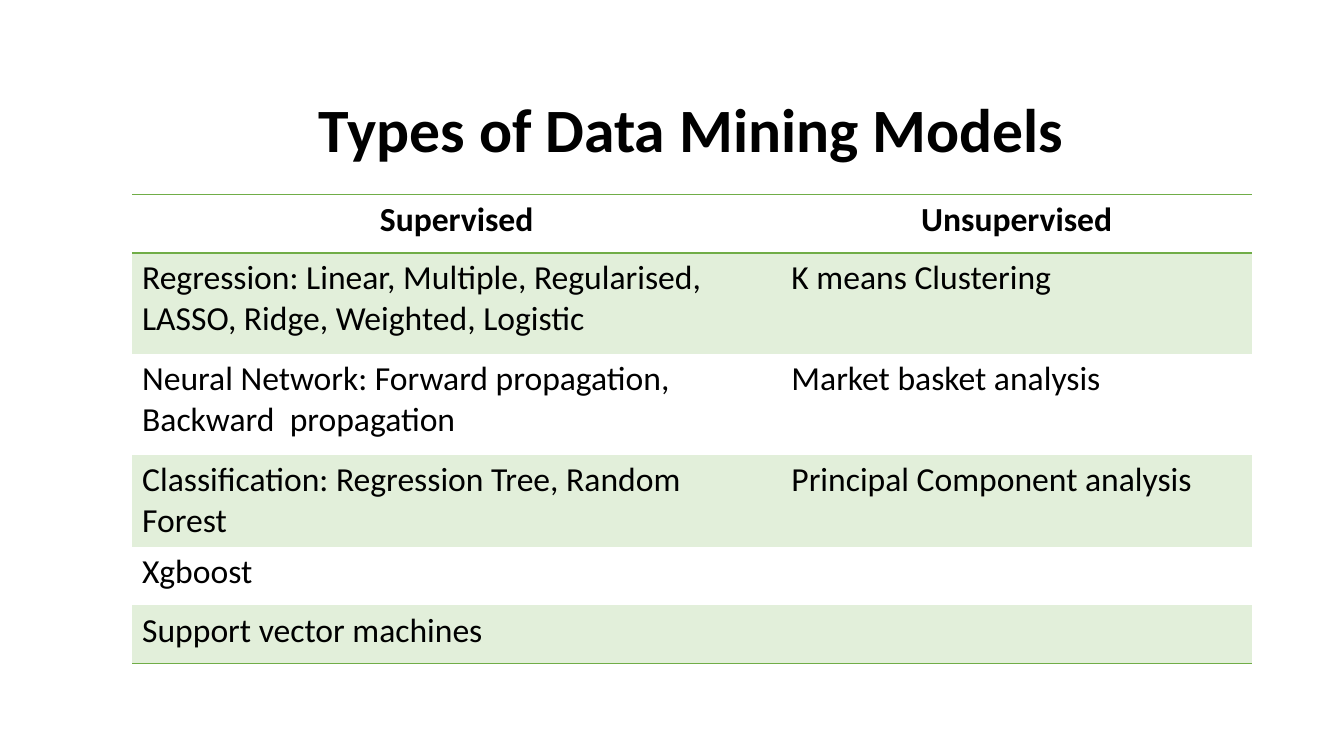
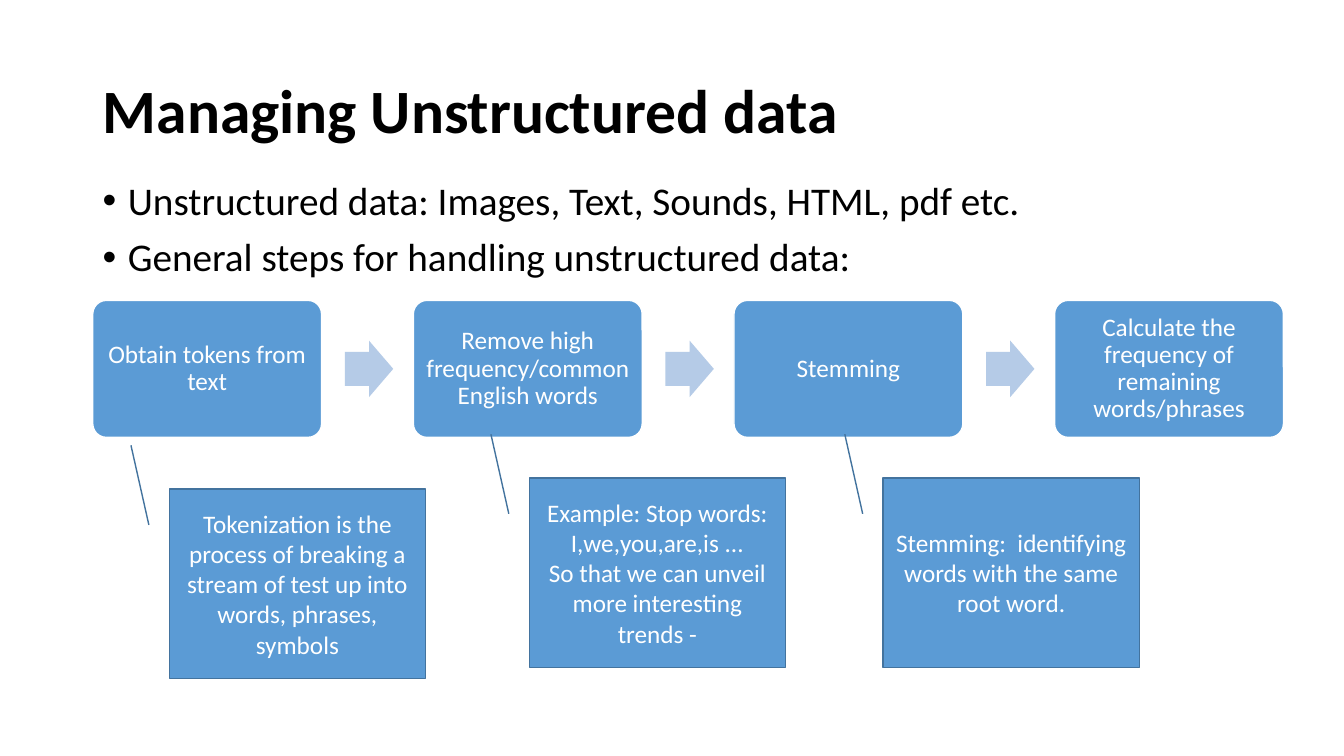
from lxml.etree import SubElement
from pptx import Presentation
from pptx.dml.color import RGBColor
from pptx.enum.shapes import MSO_SHAPE
from pptx.enum.text import MSO_ANCHOR, PP_ALIGN
from pptx.oxml.ns import qn
from pptx.util import Emu, Pt

PX = 9144
FONT = "Calibri"
BLACK, WHITE = "000000", "FFFFFF"
BLUE, DARK_BLUE, PALE_BLUE = "5B9BD5", "43739E", "B5CBE7"
GREEN, PALE_GREEN = "70AD47", "E2EFDA"
NO_TABLE_STYLE = "{2D5ABB26-0587-4C30-8999-92F81FD0307C}"


def px(*lengths):
    return [Emu(length * PX) for length in lengths]


def color(value):
    return RGBColor.from_string(value)


def write(text_frame, text, size, ink, align=PP_ALIGN.LEFT, bold=False, spacing=None):
    text_frame.text = text
    for paragraph in text_frame.paragraphs:
        paragraph.alignment = align
        if spacing:
            paragraph.line_spacing = spacing
        for run in paragraph.runs:
            run.font.name = FONT
            run.font.size = Pt(size)
            run.font.bold = bold
            run.font.color.rgb = color(ink)


def add_titled_slide(presentation, title, box, align):
    slide = presentation.slides.add_slide(presentation.slide_layouts[5])
    placeholder = slide.shapes.title
    placeholder.left, placeholder.top, placeholder.width, placeholder.height = px(*box)
    placeholder.text_frame.vertical_anchor = MSO_ANCHOR.MIDDLE
    write(placeholder.text_frame, title, 44, BLACK, align, True, 0.9)
    return slide


def add_shape(slide, kind, box, fill, line=None, adjustments=()):
    shape = slide.shapes.add_shape(kind, *px(*box))
    shape.shadow.inherit = False
    shape.fill.solid()
    shape.fill.fore_color.rgb = color(fill)
    if line:
        shape.line.color.rgb = color(line)
        shape.line.width = Pt(1)
    else:
        shape.line.fill.background()
    for index, value in enumerate(adjustments):
        shape.adjustments[index] = value
    return shape


def add_border(cell, side):
    border = SubElement(cell._tc.get_or_add_tcPr(), qn(f"a:{side}"), w=str(Pt(1)))
    fill = SubElement(border, qn("a:solidFill"))
    SubElement(fill, qn("a:srgbClr"), val=GREEN)


def add_model_table(slide, left, top, widths, heights, rows):
    box = px(left, top, sum(widths), sum(heights))
    table = slide.shapes.add_table(len(rows), len(widths), *box).table
    table.first_row = table.horz_banding = False
    table._tbl.tblPr.find(qn("a:tableStyleId")).text = NO_TABLE_STYLE
    for column, width in zip(table.columns, px(*widths)):
        column.width = width
    for row, height in zip(table.rows, px(*heights)):
        row.height = height
    for row_index, texts in enumerate(rows):
        header = row_index == 0
        for column_index, text in enumerate(texts):
            cell = table.cell(row_index, column_index)
            align = PP_ALIGN.CENTER if header else PP_ALIGN.LEFT
            write(cell.text_frame, text, 24, BLACK, align, header)
            if header:
                add_border(cell, "lnT")
            if header or row_index == len(rows) - 1:
                add_border(cell, "lnB")
            if row_index % 2:
                cell.fill.solid()
                cell.fill.fore_color.rgb = color(PALE_GREEN)
            else:
                cell.fill.background()


def add_bullets(slide, box, items):
    text_frame = slide.shapes.add_textbox(*px(*box)).text_frame
    text_frame.word_wrap = True
    write(text_frame, "\n".join(items), 28, BLACK, spacing=0.9)
    for paragraph in text_frame.paragraphs:
        paragraph.space_before = Pt(10)
        properties = paragraph._p.get_or_add_pPr()
        indent = 25 * PX
        properties.set("marL", str(indent))
        properties.set("indent", str(-indent))
        SubElement(properties, qn("a:buFont"), typeface="Arial")
        SubElement(properties, qn("a:buChar"), char="•")


def add_process(slide, left, top, width, height, pitch, steps):
    arrow_width, arrow_height = 48, 56
    for index, text in enumerate(steps):
        step_left = left + index * pitch
        if index:
            arrow_box = (step_left - 68, top + (height - arrow_height) // 2,
                         arrow_width, arrow_height)
            add_shape(slide, MSO_SHAPE.RIGHT_ARROW, arrow_box, PALE_BLUE,
                      adjustments=(0.6, 0.5))
        step = add_shape(slide, MSO_SHAPE.ROUNDED_RECTANGLE,
                         (step_left, top, width, height), BLUE, WHITE, (0.1,))
        text_frame = step.text_frame
        text_frame.word_wrap = True
        (text_frame.margin_left, text_frame.margin_right,
         text_frame.margin_top, text_frame.margin_bottom) = px(7, 7, 7, 7)
        write(text_frame, text, 18, WHITE, PP_ALIGN.CENTER, spacing=0.9)


def add_callout(slide, left, top, text):
    callout = add_shape(slide, MSO_SHAPE.LINE_CALLOUT_1, (left, top, 254, 188),
                        BLUE, DARK_BLUE, (0.19, -0.08, -0.23, -0.15))
    callout.text_frame.word_wrap = True
    callout.text_frame.vertical_anchor = MSO_ANCHOR.MIDDLE
    write(callout.text_frame, text, 18, WHITE, PP_ALIGN.CENTER)


def build_models_slide(presentation):
    slide = add_titled_slide(presentation, "Types of Data Mining Models",
                             (111, 59, 1150, 145), PP_ALIGN.CENTER)
    add_model_table(slide, 131, 193, (644, 467), (58, 100, 100, 58, 58, 58), [
        ("Supervised", "Unsupervised"),
        ("Regression: Linear, Multiple, Regularised, LASSO, Ridge, Weighted, Logistic",
         "K means Clustering"),
        ("Neural Network: Forward propagation, Backward  propagation",
         "Market basket analysis"),
        ("Classification: Regression Tree, Random Forest",
         "Principal Component analysis"),
        ("Xgboost", ""),
        ("Support vector machines", ""),
    ])


def build_unstructured_slide(presentation):
    slide = add_titled_slide(presentation, "Managing Unstructured data",
                             (92, 40, 1150, 145), PP_ALIGN.LEFT)
    add_bullets(slide, (92, 175, 1150, 115), [
        "Unstructured data: Images, Text, Sounds, HTML, pdf etc.",
        "General steps for handling unstructured data:",
    ])
    add_process(slide, 92, 298, 227, 136, 318, [
        "Obtain tokens from text",
        "Remove high frequency/common English words",
        "Stemming",
        "Calculate the frequency of remaining words/phrases",
    ])
    for left, top, text in [
        (168, 485, "Tokenization is the process of breaking a stream of test up "
                   "into words, phrases, symbols"),
        (525, 474, "Example: Stop words: I,we,you,are,is ...\n"
                   "So that we can unveil more interesting trends -"),
        (876, 474, "Stemming:  identifying words with the same root word."),
    ]:
        add_callout(slide, left, top, text)


def main():
    presentation = Presentation()
    presentation.slide_width, presentation.slide_height = px(1333, 750)
    build_models_slide(presentation)
    build_unstructured_slide(presentation)
    presentation.save("out.pptx")


if __name__ == "__main__":
    main()
